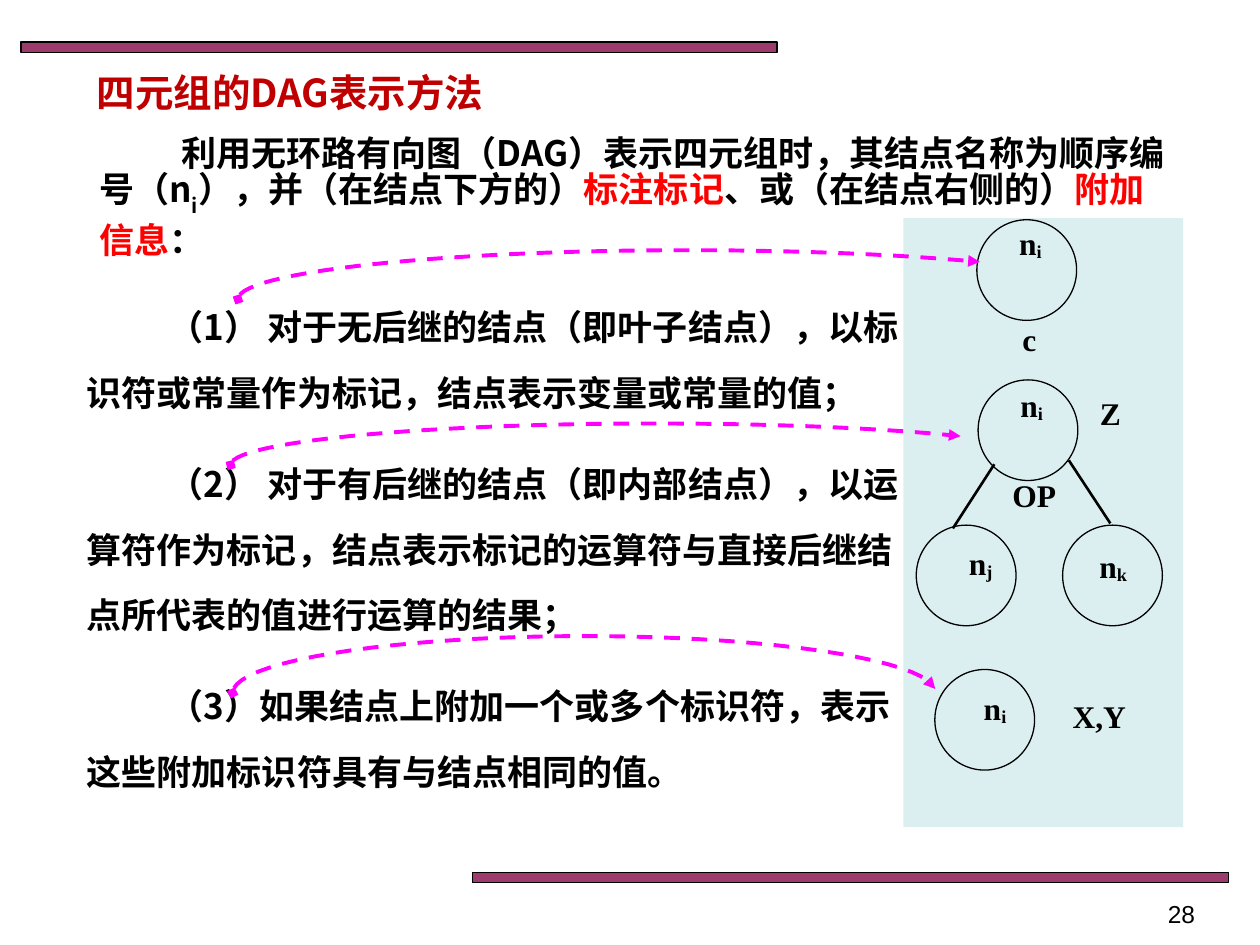
import math

from lxml import etree
from pptx import Presentation
from pptx.dml.color import RGBColor
from pptx.enum import dml, shapes, text
from pptx.oxml.ns import qn
from pptx.util import Pt

BLACK = RGBColor(0x00, 0x00, 0x00)
RED = RGBColor(0xFF, 0x00, 0x00)
DARK_RED = RGBColor(0xC0, 0x00, 0x00)
PLUM = RGBColor(0x99, 0x33, 0x66)
PALE_TEAL = RGBColor(0xBB, 0xE0, 0xE3)
MAGENTA = RGBColor(0xFF, 0x00, 0xFF)
CHINESE_FONT = "Noto Sans CJK SC"
LABEL_FONT = "Times New Roman"

RULES = [
    "（1） 对于无后继的结点（即叶子结点），以标识符或常量作为标记，结点表示变量或常量的值；",
    "（2） 对于有后继的结点（即内部结点），以运算符作为标记，结点表示标记的运算符与直接后继结点所代表的值进行运算的结果；",
    "（3）如果结点上附加一个或多个标识符，表示这些附加标识符具有与结点相同的值。",
]


def add_span(para, words, size, font=CHINESE_FONT, color=BLACK, bold=True, baseline=0):
    span = para.add_run()
    span.text = words
    span.font.size = Pt(size)
    span.font.name = font
    span.font.bold = bold
    span.font.color.rgb = color
    properties = span._r.get_or_add_rPr()
    etree.SubElement(properties, qn("a:ea")).set("typeface", font)
    if baseline:
        properties.set("baseline", str(baseline * 1000))


def add_text_box(page, left, top, width, height):
    box = page.shapes.add_textbox(Pt(left), Pt(top), Pt(width), Pt(height))
    box.text_frame.word_wrap = True
    return box.text_frame


def add_plain_shape(page, kind, box, fill=None, opacity=100, line=BLACK):
    shape = page.shapes.add_shape(kind, *map(Pt, box))
    shape.shadow.inherit = False
    if fill is None:
        shape.fill.background()
    else:
        shape.fill.solid()
        shape.fill.fore_color.rgb = fill
        color = shape.fill._xPr.find(".//" + qn("a:srgbClr"))
        etree.SubElement(color, qn("a:alpha")).set("val", str(opacity * 1000))
    if line is None:
        shape.line.fill.background()
    else:
        shape.line.color.rgb = line
        shape.line.width = Pt(0.75)
    return shape


def add_frame(page):
    # Decorative bars and page number
    for left, top in ((12, 24), (270, 498.5)):
        add_plain_shape(page, shapes.MSO_SHAPE.RECTANGLE, (left, top, 432, 6), PLUM, 96)
    para = add_text_box(page, 522, 510, 168, 19.5).paragraphs[0]
    para.alignment = text.PP_ALIGN.RIGHT
    add_span(para, "28", 14, "Arial", bold=False)


def add_title(page, left, top, width, height):
    title = page.shapes.title
    title.left, title.top, title.width, title.height = map(Pt, (left, top, width, height))
    title.text_frame.vertical_anchor = text.MSO_ANCHOR.TOP
    title.text_frame.auto_size = text.MSO_AUTO_SIZE.NONE
    para = title.text_frame.paragraphs[0]
    para.alignment = text.PP_ALIGN.LEFT
    para.line_spacing = Pt(28)
    add_span(para, "四元组的DAG表示方法", 22, color=DARK_RED)


def indent_first_line(para):
    para._p.get_or_add_pPr().set("indent", str(Pt(46.8)))


def add_introduction(page, left, top, width, height):
    para = add_text_box(page, left, top, width, height).paragraphs[0]
    indent_first_line(para)
    para.line_spacing = Pt(25)
    add_span(para, "利用无环路有向图（DAG）表示四元组时，其结点名称为顺序编号（n", 20)
    add_span(para, "i", 20, baseline=-30)
    for words, color in (("），并（在结点下方的）", BLACK), ("标注标记", RED),
                         ("、或（在结点右侧的）", BLACK), ("附加信息", RED), ("：", BLACK)):
        add_span(para, words, 20, color=color)


def add_rules(page, left, top, width, height):
    frame = add_text_box(page, left, top, width, height)
    for index, words in enumerate(RULES):
        para = frame.add_paragraph() if index else frame.paragraphs[0]
        indent_first_line(para)
        para.line_spacing = Pt(37.3)
        if index:
            para.space_before = Pt(15)
        add_span(para, words, 20)


def add_label(page, center, top, words, subscript=""):
    para = add_text_box(page, center - 36, top, 72, 36.7).paragraphs[0]
    para.alignment = text.PP_ALIGN.CENTER
    add_span(para, words, 18, LABEL_FONT)
    if subscript:
        add_span(para, subscript, 18, LABEL_FONT, baseline=-10)


def add_diagram(page, left, top, width, height):
    add_plain_shape(page, shapes.MSO_SHAPE.RECTANGLE, (left, top, width, height),
                    PALE_TEAL, 50, None)
    # Nodes: circle position, subscript, label offset within the circle
    nodes = [
        (42, 1, "i", 30.6, -1),
        (42.7, 92.5, "i", 30.6, 0),
        (7.4, 175.5, "j", 36.8, 7),
        (91, 175.5, "k", 29, 9),
        (18, 258, "i", 34.4, 7.4),
    ]
    for x, y, subscript, across, down in nodes:
        add_plain_shape(page, shapes.MSO_SHAPE.OVAL, (left + x, top + y, 57, 57.5))
        add_label(page, left + x + across, top + y + down, "n", subscript)
    # Marks below and beside the nodes
    for words, x, y in (("c", 72, 54.5), ("Z", 118.3, 97), ("OP", 74.8, 143.6),
                        ("X,Y", 112, 270.3)):
        add_label(page, left + x, top + y, words)
    # Edges from the operator node to its successors
    for x1, y1, x2, y2 in ((52, 140.7, 28.3, 177.4), (94.6, 138.5, 118.3, 174.5)):
        edge = page.shapes.add_connector(shapes.MSO_CONNECTOR.STRAIGHT, Pt(left + x1),
                                         Pt(top + y1), Pt(left + x2), Pt(top + y2))
        edge.line.color.rgb = BLACK
        edge.line.width = Pt(1.5)
        etree.SubElement(edge._element.spPr, qn("a:effectLst"))


def add_arc_arrow(page, left, top, radius_x, radius_y, sweep, steps=40):
    """Dashed elliptical arc, running clockwise from the ellipse's left end."""
    points = []
    for step in range(steps + 1):
        angle = math.radians(sweep * step / steps)
        points.append((Pt(left + radius_x * (1 - math.cos(angle))),
                       Pt(top + radius_y * (1 - math.sin(angle)))))
    builder = page.shapes.build_freeform(*points[0])
    builder.add_line_segments(points[1:], close=False)
    arc = builder.convert_to_shape()
    arc.shadow.inherit = False
    arc.fill.background()
    arc.line.color.rgb = MAGENTA
    arc.line.width = Pt(2.25)
    arc.line.dash_style = dml.MSO_LINE.DASH
    for end, kind in (("a:headEnd", "diamond"), ("a:tailEnd", "triangle")):
        etree.SubElement(arc.line._get_or_add_ln(), qn(end)).set("type", kind)


def main():
    deck = Presentation()
    deck.slide_width, deck.slide_height = Pt(720), Pt(540)
    page = deck.slides.add_slide(deck.slide_layouts[5])
    add_frame(page)
    add_introduction(page, 49.7, 70.6, 626.4, 80)
    add_title(page, 48.2, 34, 306, 34)
    add_rules(page, 42.5, 158, 487.5, 304)
    add_diagram(page, 516.2, 124.6, 160, 348)
    # Arrows from each rule to its node
    add_arc_arrow(page, 136, 143, 257, 28, 130.5)
    add_arc_arrow(page, 133, 363.5, 201, 32.5, 176)
    add_arc_arrow(page, 131.8, 242, 242.6, 23.7, 136)
    deck.save("out.pptx")


if __name__ == "__main__":
    main()
